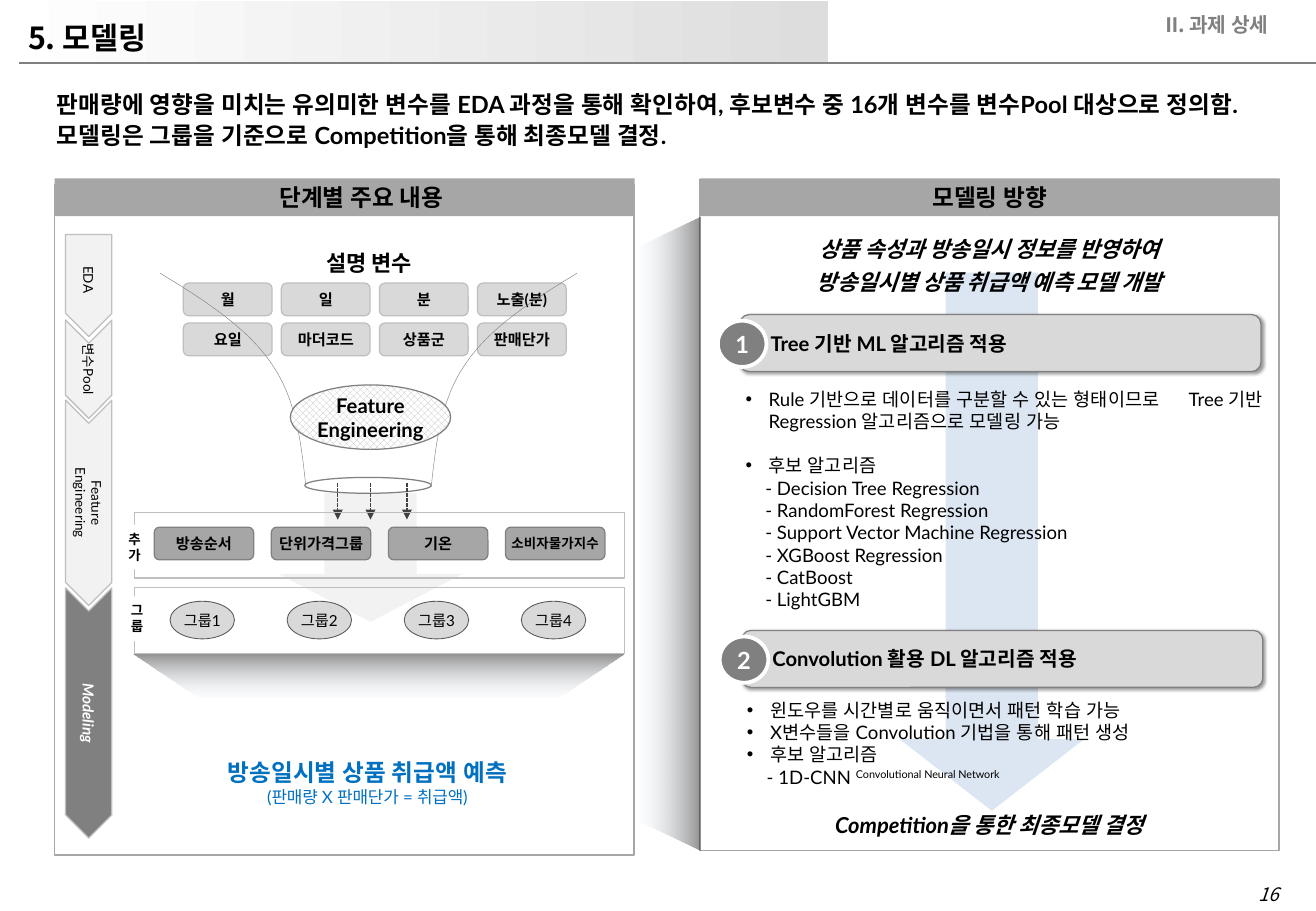
from lxml import etree
from pptx import Presentation
from pptx.dml.color import RGBColor
from pptx.enum import dml, shapes, text
from pptx.oxml.ns import qn
from pptx.util import Pt

BLACK, WHITE = RGBColor(0, 0, 0), RGBColor(255, 255, 255)
DARK, GRAY, MID = RGBColor(64, 64, 64), RGBColor(128, 128, 128), RGBColor(166, 166, 166)
SILVER, LIGHT, PALE = RGBColor(191, 191, 191), RGBColor(217, 217, 217), RGBColor(242, 242, 242)
OUTLINE, HEADER_END = RGBColor(89, 89, 89), RGBColor(221, 221, 221)
BLUE, ICE, MIST = RGBColor(0, 112, 192), RGBColor(220, 230, 242), RGBColor(225, 232, 245)
KIND, ALIGN, ANCHOR = shapes.MSO_SHAPE, text.PP_ALIGN, text.MSO_ANCHOR
LATO, NOTO = "Lato", "Noto Sans CJK KR"

TITLE, SECTION, PAGE = "5. 모델링", "𝐈𝐈. 과제 상세", "16"
SUMMARY = ("판매량에 영향을 미치는 유의미한 변수를 EDA 과정을 통해 확인하여, 후보변수 중 16개 변수를 변수Pool 대상으로 정의함. "
           "모델링은 그룹을 기준으로 Competition을 통해 최종모델 결정.")
# heading, left, top, frame top, frame height, left inset
PANELS = [("단계별 주요 내용", 32.4, 105.8, 109.4, 397.4, 20),
          ("모델링 방향", 414.7, 105.8, 106.6, 397.4, 0)]
# lines, top, length
STAGES = [(["EDA"], 139, 60.5), (["변수Pool"], 189.7, 58.3),
          (["Feature", "Engineering"], 237.2, 121.7), (["Modeling"], 348.5, 148.3)]
VARIABLES = [["월", "일", "분", "노출(분)"], ["요일", "마더코드", "상품군", "판매단가"]]
ADDED = ["방송순서", "단위가격그룹", "기온", "소비자물가지수"]
GROUPS = ["그룹1", "그룹2", "그룹3", "그룹4"]
ROW_FRAMES = [("추가", 303.8, 73.4, 311), ("그룹", 348.5, 74.9, 353.5)]
GOAL, FORMULA = "방송일시별 상품 취급액 예측", "(판매량 X 판매단가 = 취급액)"
DIRECTION = ["상품 속성과 방송일시 정보를 반영하여", "방송일시별 상품 취급액 예측 모델 개발"]
DECISION = "Competition을 통한 최종모델 결정"
# heading, left, top
METHODS = [("Tree 기반 ML 알고리즘 적용", 438.5, 186.5),
           ("Convolution 활용 DL 알고리즘 적용", 439.6, 373.7)]
# left, top, height, items of (text, bulleted, space before, superscript)
LISTS = [
    (433.4, 229.7, 136,
     [("Rule 기반으로 데이터를 구분할 수 있는 형태이므로\tTree 기반 Regression 알고리즘으로 모델링 가능", True, 0, ""),
      ("후보 알고리즘", True, 13.2, "")]
     + [("- " + name, False, 0, "") for name in (
         "Decision Tree Regression", "RandomForest Regression",
         "Support Vector Machine Regression", "XGBoost Regression", "CatBoost", "LightGBM")]),
    (434.2, 414.2, 57,
     [("윈도우를 시간별로 움직이면서 패턴 학습 가능", True, 0, ""),
      ("X변수들을 Convolution 기법을 통해 패턴 생성", True, 0, ""),
      ("후보 알고리즘", True, 0, ""),
      ("- 1D-CNN ", False, 0, "Convolutional Neural Network")])]
FUNNEL = [(95, 162), (121, 177.8), (146.9, 194.4), (161.3, 216),
          (175.7, 236.9), (178.6, 262.8), (181.4, 288.7)]
FUNNEL_MIRROR = 437

deck = Presentation()
deck.slide_width, deck.slide_height = Pt(780), Pt(540)
slide = deck.slides.add_slide(deck.slide_layouts[3])
canvas = slide.shapes


def style(run, size, color=BLACK, bold=False, italic=False, font=LATO):
    face = run.font
    face.size, face.bold, face.italic, face.name = Pt(size), bold, italic, font
    face.color.rgb = color
    east_asian = etree.Element(qn("a:ea"), typeface=font)
    run._r.get_or_add_rPr().find(qn("a:latin")).addnext(east_asian)


def write(holder, lines, size=9, align=ALIGN.CENTER, anchor=ANCHOR.MIDDLE, wrap=False,
          inset=(0, 0, 0, 0), gap=0, spacing=None, **look):
    frame = holder.text_frame
    frame.auto_size, frame.word_wrap = text.MSO_AUTO_SIZE.NONE, wrap
    frame.vertical_anchor = anchor
    (frame.margin_left, frame.margin_top,
     frame.margin_right, frame.margin_bottom) = map(Pt, inset)
    for index, line in enumerate(lines):
        para = frame.paragraphs[0] if index == 0 else frame.add_paragraph()
        para.alignment, para.line_spacing = align, spacing
        para.space_before = Pt(gap if index else 0)
        run = para.add_run()
        run.text = line
        style(run, size, **look)
    return holder


def label(x, y, w, h, lines, **look):
    return write(canvas.add_textbox(Pt(x), Pt(y), Pt(w), Pt(h)), lines, **look)


def outline(item, color, width=0.75):
    item.line.color.rgb, item.line.width = color, Pt(width)


def draw(kind, x, y, w, h, fill=None, line=None, width=0.75, adjust=(), turn=0):
    """Place a shape by its visible box, also when it is turned a quarter."""
    if turn in (90, 270):
        x, y, w, h = x + (w - h) / 2, y + (h - w) / 2, h, w
    item = canvas.add_shape(kind, Pt(x), Pt(y), Pt(w), Pt(h))
    item.shadow.inherit = False
    item.rotation = turn
    for index, value in enumerate(adjust):
        item.adjustments[index] = value
    if fill is None:
        item.fill.background()
    else:
        item.fill.solid()
        item.fill.fore_color.rgb = fill
    if line is None:
        item.line.fill.background()
    else:
        outline(item, line, width)
    return item


def shade(item, angle, stops):
    """Fill with a gradient of (colour, opacity percent) stops."""
    item.fill.gradient()
    item.fill.gradient_angle = angle
    for stop, position, (color, _) in zip(item.fill.gradient_stops, (0, 1), stops):
        stop.color.rgb, stop.position = color, position
    for node, (_, opacity) in zip(item.element.spPr.iter(qn("a:srgbClr")), stops):
        if opacity < 100:
            etree.SubElement(node, qn("a:alpha"), val=str(opacity * 1000))


def cast_shadow(item):
    effects = item.element.spPr.find(qn("a:effectLst"))
    outer = etree.SubElement(effects, qn("a:outerShdw"), blurRad=str(Pt(2)), dist=str(Pt(1)),
                             dir="2700000", algn="tl", rotWithShape="0")
    color = etree.SubElement(outer, qn("a:srgbClr"), val="000000")
    etree.SubElement(color, qn("a:alpha"), val="40000")


def connect(x1, y1, x2, y2, color, width):
    item = canvas.add_connector(shapes.MSO_CONNECTOR.STRAIGHT, Pt(x1), Pt(y1), Pt(x2), Pt(y2))
    outline(item, color, width)
    etree.SubElement(item.element.spPr, qn("a:effectLst"))
    return item


def place(holder, x, y, w, h):
    """Move a placeholder and bring it to the front."""
    holder.left, holder.top, holder.width, holder.height = Pt(x), Pt(y), Pt(w), Pt(h)
    holder.element.getparent().append(holder.element)


def fill_list(holder, items):
    write(holder, [item[0] for item in items], size=11, align=ALIGN.LEFT,
          anchor=ANCHOR.TOP, wrap=True, inset=(7.2, 0, 7.2, 0))
    for para, (line, bulleted, before, superscript) in zip(holder.text_frame.paragraphs, items):
        para.space_before = Pt(before)
        props = para._p.get_or_add_pPr()
        props.set("marL", str(Pt(15 if bulleted else 13)))
        props.set("indent", str(Pt(-13.7 if bulleted else 0)))
        if bulleted:
            etree.SubElement(props, qn("a:buFont"), typeface="Arial")
            etree.SubElement(props, qn("a:buChar"), char="•")
        else:
            etree.SubElement(props, qn("a:buNone"))
        if "\t" in line:
            tabs = etree.SubElement(props, qn("a:tabLst"))
            etree.SubElement(tabs, qn("a:tab"), pos=str(Pt(264)), algn="l")
        if superscript:
            run = para.add_run()
            run.text = superscript
            style(run, 11)
            run._r.get_or_add_rPr().set("baseline", "30000")


def bezier(a, b, c, d, steps=12):
    for step in range(1, steps + 1):
        t = step / steps
        yield tuple((1 - t) ** 3 * p + 3 * t * (1 - t) ** 2 * q + 3 * t * t * (1 - t) * r + t ** 3 * s
                    for p, q, r, s in zip(a, b, c, d))


# Header
shade(draw(KIND.RECTANGLE, 0, 0.7, 491, 36.7, WHITE), 0, [(WHITE, 100), (HEADER_END, 100)])
connect(11.5, 37.4, 780, 37.4, GRAY, 1.5)
place(slide.shapes.title, 9.4, 7.9, 200, 28.8)
write(slide.shapes.title, [TITLE], size=18, align=ALIGN.LEFT, bold=True, font=NOTO,
      inset=(7.2, 0, 0, 0))
label(675.4, 3.6, 83.5, 21.6, [SECTION], size=12, align=ALIGN.RIGHT, bold=True,
      color=GRAY, font=NOTO, inset=(0, 0, 7.2, 0))
label(740.9, 519.8, 22.3, 20, [PAGE], size=11, italic=True, font=NOTO)
label(26.6, 43.2, 742.3, 53.3, [SUMMARY], size=14, align=ALIGN.LEFT, wrap=True, bold=True,
      spacing=1.1, inset=(7.2, 3.6, 7.2, 3.6))

# Panels
draw(KIND.DOWN_ARROW, 533.2, 161.6, 109.4, 319, ICE, adjust=(0.5, 0.388))
for heading, x, y, frame_top, frame_height, indent in PANELS:
    write(draw(KIND.RECTANGLE, x, y, 343.8, 22.3, MID), [heading], size=14, bold=True,
          wrap=True, inset=(indent, 0, 0, 0))
    draw(KIND.RECTANGLE, x, frame_top, 343.4, frame_height, line=MID)
side_fade = draw(KIND.TRAPEZOID, 379.8, 128.5, 35.3, 375.8, MIST, adjust=(0.491,), turn=270)

# Stages
for index, (lines, y, length) in enumerate(STAGES):
    last = index == len(STAGES) - 1
    stage = draw(KIND.CHEVRON if index else KIND.PENTAGON, 38.9, y, 27.4, length,
                 GRAY if last else PALE, SILVER, turn=90)
    write(stage, lines, size=9 if last else 8, color=WHITE if last else BLACK,
          bold=last, italic=last)

# Variables and funnel
label(142.6, 146, 151.9, 19.4, ["설명 변수"], size=13, bold=True)
for row, names in enumerate(VARIABLES):
    for column, name in enumerate(names):
        chip = draw(KIND.ROUNDED_RECTANGLE, 108.7 + 58.1 * column, 167.8 + 23.7 * row,
                    52.6, 19.4, LIGHT, SILVER)
        write(chip, [name], bold=True)
draw(KIND.DOWN_ARROW, 164.9, 292.3, 109.4, 76.3, PALE, adjust=(0.5, 0.373))
for knots in (FUNNEL, [(FUNNEL_MIRROR - x, y) for x, y in FUNNEL]):
    points = [*bezier(*knots[:4]), *bezier(*knots[3:])]
    builder = canvas.build_freeform(Pt(knots[0][0]), Pt(knots[0][1]))
    builder.add_line_segments([(Pt(x), Pt(y)) for x, y in points], close=False)
    wall = builder.convert_to_shape()
    wall.shadow.inherit = False
    wall.fill.background()
    outline(wall, GRAY, 0.25)
draw(KIND.OVAL, 180.7, 283, 74.9, 9.4, WHITE, GRAY)
for x in (200.2, 219.6, 241.2):
    drop = connect(x, 286.6, x, 308, DARK, 0.75)
    drop.line.dash_style = dml.MSO_LINE.SQUARE_DOT
    etree.SubElement(drop.element.spPr.find(qn("a:ln")), qn("a:tailEnd"), type="triangle")
engineering = draw(KIND.OVAL, 172.1, 228.2, 95, 38.2, WHITE, GRAY)
engineering.fill.patterned()
engineering.fill.pattern = dml.MSO_PATTERN_TYPE.OUTLINED_DIAMOND
engineering.fill.fore_color.rgb, engineering.fill.back_color.rgb = SILVER, WHITE
write(engineering, ["Feature", "Engineering"], size=12, bold=True)

# Added variables and groups
for name, y, tag_x, tag_y in ROW_FRAMES:
    draw(KIND.RECTANGLE, 79.9, y, 290.2, 38.9, line=SILVER)
    write(draw(KIND.RECTANGLE, tag_x, tag_y, 10.8, 26.6, WHITE), [name], size=8, bold=True,
          wrap=True, anchor=ANCHOR.TOP, inset=(2, 3.6, 0, 0))
for column, (added, group) in enumerate(zip(ADDED, GROUPS)):
    shift = 69.4 * column
    write(draw(KIND.ROUNDED_RECTANGLE, 91.4 + shift, 312.5, 59, 19.4, MID, GRAY), [added],
          size=8 if len(added) > 6 else 9, bold=True)
    write(draw(KIND.OVAL, 100.8 + shift, 356.4, 38.2, 22.3, LIGHT, OUTLINE, 0.5), [group])
floor_fade = draw(KIND.TRAPEZOID, 79.2, 388.1, 290.2, 25.2, MIST, adjust=(1.535,), turn=180)
for fade in (side_fade, floor_fade):
    shade(fade, 90, [(BLACK, 43), (MIST, 9)])
label(62.6, 449.3, 310.3, 16.8, [GOAL], size=14, bold=True, color=BLUE)
label(62.6, 466.1, 310.3, 12, [FORMULA], size=10, color=BLUE)

# Modelling direction
label(414.7, 139.7, 343.4, 38.9, DIRECTION, size=13, bold=True, italic=True, gap=4,
      anchor=ANCHOR.TOP)
for number, (heading, x, y) in enumerate(METHODS, 1):
    bar = draw(KIND.ROUNDED_RECTANGLE, x, y, 308.9, 33.8, LIGHT, GRAY, adjust=(0.163,))
    cast_shadow(bar)
    write(bar, [heading], size=12, bold=True, align=ALIGN.LEFT, wrap=True, inset=(16.6, 0, 0, 0))
    badge = draw(KIND.OVAL, x - 13, y + 3.6, 28.8, 27.4, GRAY, WHITE, 2.25)
    write(badge, [str(number)], size=14, bold=True, color=WHITE)
for number, (x, y, height, items) in enumerate(LISTS, 1):
    place(slide.placeholders[number], x, y, 325.4, height)
    fill_list(slide.placeholders[number], items)
label(414.7, 481, 343.4, 15.6, [DECISION], size=13, bold=True, italic=True)

deck.save("out.pptx")
